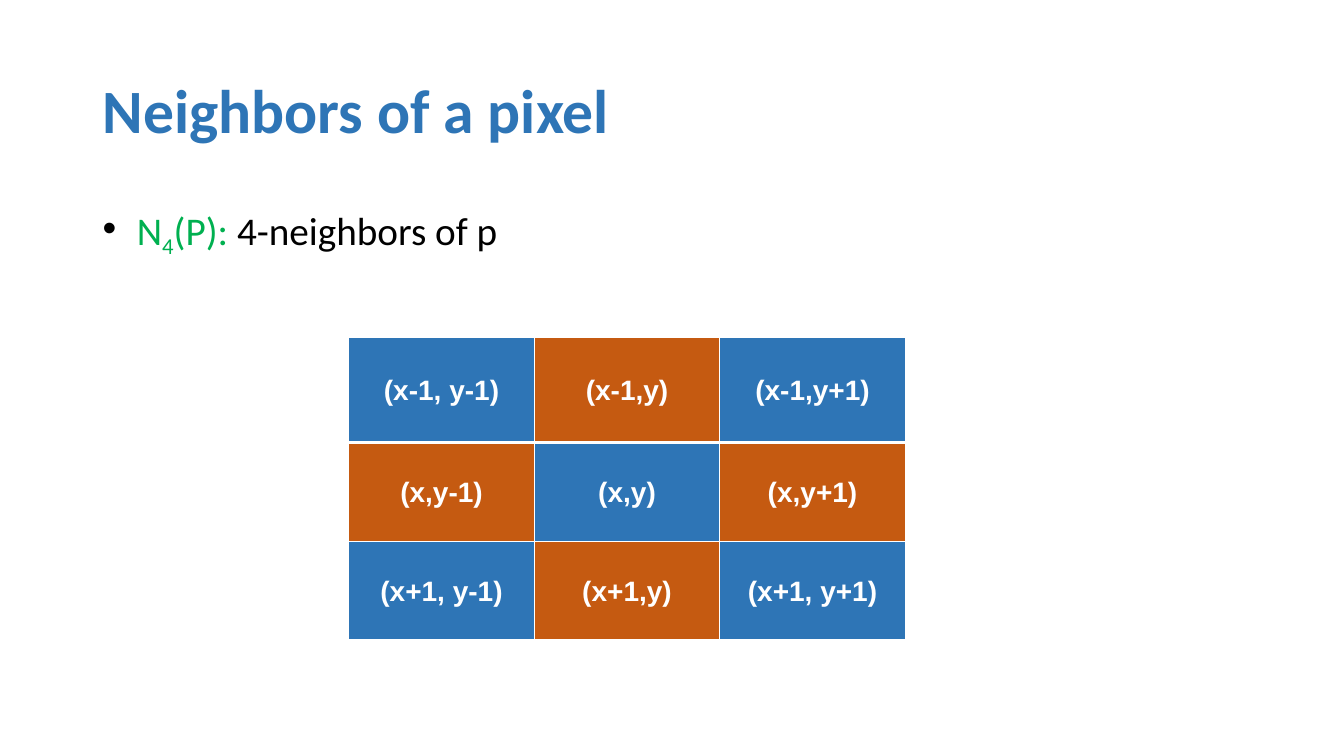
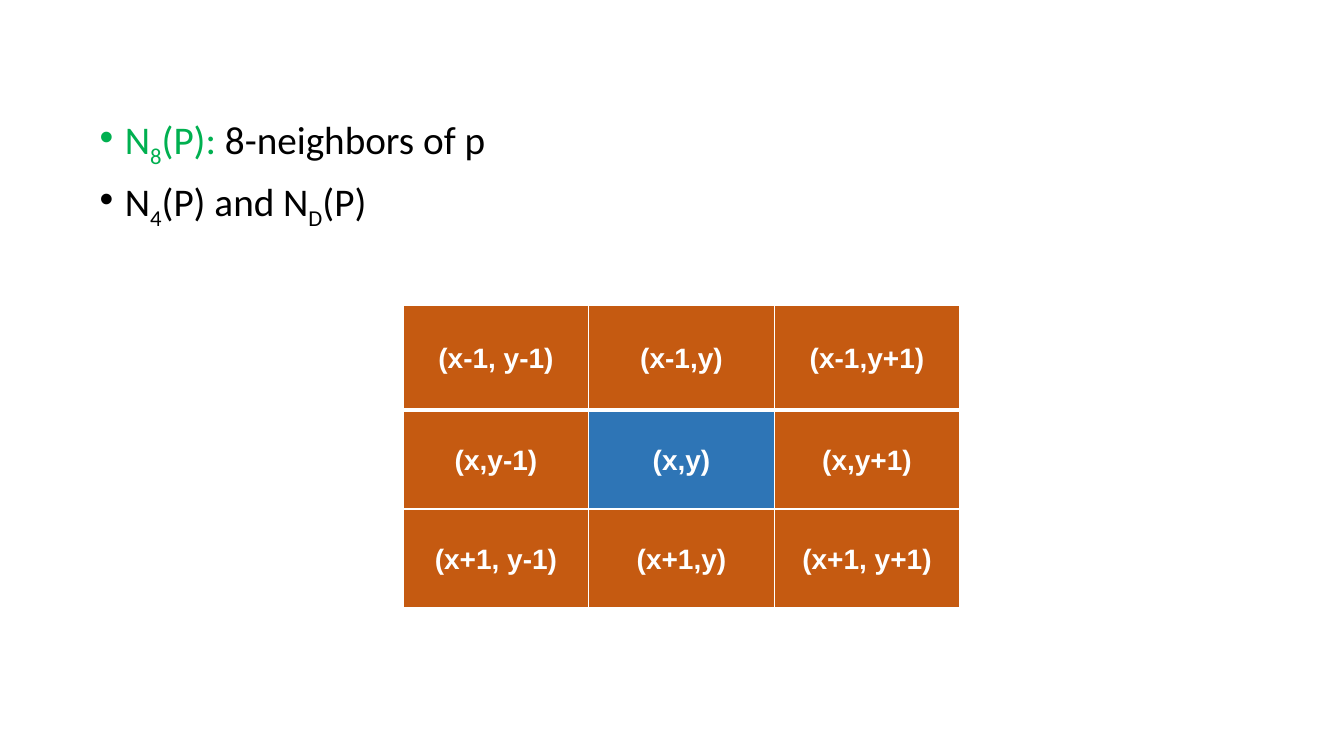
from lxml.etree import SubElement
from pptx import Presentation
from pptx.dml.color import RGBColor
from pptx.enum.text import MSO_ANCHOR, PP_ALIGN
from pptx.oxml.ns import qn
from pptx.util import Inches, Pt

BLUE, ORANGE, GREEN = "2E75B6", "C55A11", "00B050"
BLACK, WHITE = "000000", "FFFFFF"
TEXT_FONT, TABLE_FONT = "Calibri", "Arial"

PIXELS = [
    ["(x-1, y-1)", "(x-1,y)", "(x-1,y+1)"],
    ["(x,y-1)", "(x,y)", "(x,y+1)"],
    ["(x+1, y-1)", "(x+1,y)", "(x+1, y+1)"],
]
COLUMN_WIDTH = 1.84
ROW_HEIGHTS = [1.04, 0.98, 0.98]
THIN, THICK = 1, 3

# A bullet is a list of runs: text, colour, subscript.
# "reach" is the largest step count from the centre to a neighbor.
SLIDES = [
    {
        "title": "Neighbors of a pixel",
        "bullets": [[("N", GREEN, False), ("4", GREEN, True), ("(P):", GREEN, False),
                     (" 4-neighbors of p", BLACK, False)]],
        "bullet_colors": [BLACK],
        "body_at": (0.92, 2),
        "indent": 0.34,
        "table_at": (3.46, 3.35),
        "reach": 1,
    },
    {
        "title": None,
        "bullets": [
            [("N", GREEN, False), ("8", GREEN, True), ("(P): ", GREEN, False),
             ("8-neighbors of p", BLACK, False)],
            [("N", BLACK, False), ("4", BLACK, True), ("(P) and N", BLACK, False),
             ("D", BLACK, True), ("(P)", BLACK, False)],
        ],
        "bullet_colors": [GREEN, BLACK],
        "body_at": (0.89, 1.1),
        "indent": 0.25,
        "table_at": (4, 3.03),
        "reach": 2,
    },
]


def rgb(color):
    return RGBColor.from_string(color)


def add_run(paragraph, text, size, color, font=TEXT_FONT, bold=False, subscript=False):
    run = paragraph.add_run()
    run.text = text
    run.font.name, run.font.size, run.font.bold = font, Pt(size), bold
    run.font.color.rgb = rgb(color)
    if subscript:
        run._r.get_or_add_rPr().set("baseline", "-25000")


def add_text_frame(slide, left, top, width, height):
    frame = slide.shapes.add_textbox(
        Inches(left), Inches(top), Inches(width), Inches(height)).text_frame
    frame.word_wrap = True
    return frame


def add_title(slide, title):
    frame = add_text_frame(slide, 0.92, 0.4, 11.5, 1.45)
    frame.vertical_anchor = MSO_ANCHOR.MIDDLE
    paragraph = frame.paragraphs[0]
    paragraph.line_spacing = 0.9
    add_run(paragraph, title, 44, BLUE, bold=True)


def set_bullet(paragraph, color, indent):
    properties = paragraph._p.get_or_add_pPr()
    properties.set("marL", str(Inches(indent)))
    properties.set("indent", str(-Inches(indent)))
    bullet_color = SubElement(properties, qn("a:buClr"))
    SubElement(bullet_color, qn("a:srgbClr"), val=color)
    SubElement(properties, qn("a:buFont"), typeface="Arial")
    SubElement(properties, qn("a:buChar"), char="•")


def add_bullets(slide, content):
    frame = add_text_frame(slide, *content["body_at"], 11.5, 4.76)
    for index, runs in enumerate(content["bullets"]):
        paragraph = frame.add_paragraph() if index else frame.paragraphs[0]
        paragraph.line_spacing = 0.9
        paragraph.space_before = Pt(10)
        set_bullet(paragraph, content["bullet_colors"][index], content["indent"])
        for text, color, subscript in runs:
            add_run(paragraph, text, 28, color, subscript=subscript)


def set_borders(cell, top, bottom):
    """Draw white cell borders; top and bottom are widths in points."""
    properties = cell._tc.get_or_add_tcPr()
    widths = {"a:lnL": THIN, "a:lnR": THIN, "a:lnT": top, "a:lnB": bottom}
    for tag, width in widths.items():
        line = SubElement(properties, qn(tag), w=str(Pt(width)))
        fill = SubElement(line, qn("a:solidFill"))
        SubElement(fill, qn("a:srgbClr"), val=WHITE)


def fill_cell(cell, text, color):
    cell.fill.solid()
    cell.fill.fore_color.rgb = rgb(color)
    cell.margin_left = cell.margin_right = Inches(0.07)
    cell.margin_top = cell.margin_bottom = 0
    cell.vertical_anchor = MSO_ANCHOR.MIDDLE
    paragraph = cell.text_frame.paragraphs[0]
    paragraph.alignment = PP_ALIGN.CENTER
    paragraph.line_spacing = 1.07
    add_run(paragraph, text, 20, WHITE, TABLE_FONT, bold=True)


def add_pixel_table(slide, left, top, reach):
    """Add the pixel grid, with the neighbors of its centre in orange."""
    size = len(PIXELS)
    table = slide.shapes.add_table(
        size, size, Inches(left), Inches(top),
        Inches(COLUMN_WIDTH * size), Inches(sum(ROW_HEIGHTS))).table
    table.first_row = table.horz_banding = False
    for column in table.columns:
        column.width = Inches(COLUMN_WIDTH)
    for row, height in zip(table.rows, ROW_HEIGHTS):
        row.height = Inches(height)
    for row, texts in enumerate(PIXELS):
        for column, text in enumerate(texts):
            cell = table.cell(row, column)
            steps = abs(row - size // 2) + abs(column - size // 2)
            set_borders(cell, top=THICK if row == 1 else THIN,
                        bottom=THICK if row == 0 else THIN)
            fill_cell(cell, text, ORANGE if 1 <= steps <= reach else BLUE)


def main():
    presentation = Presentation()
    presentation.slide_width, presentation.slide_height = Inches(13.33), Inches(7.5)
    for content in SLIDES:
        slide = presentation.slides.add_slide(presentation.slide_layouts[6])
        if content["title"]:
            add_title(slide, content["title"])
        add_bullets(slide, content)
        add_pixel_table(slide, *content["table_at"], content["reach"])
    presentation.save("out.pptx")


if __name__ == "__main__":
    main()
